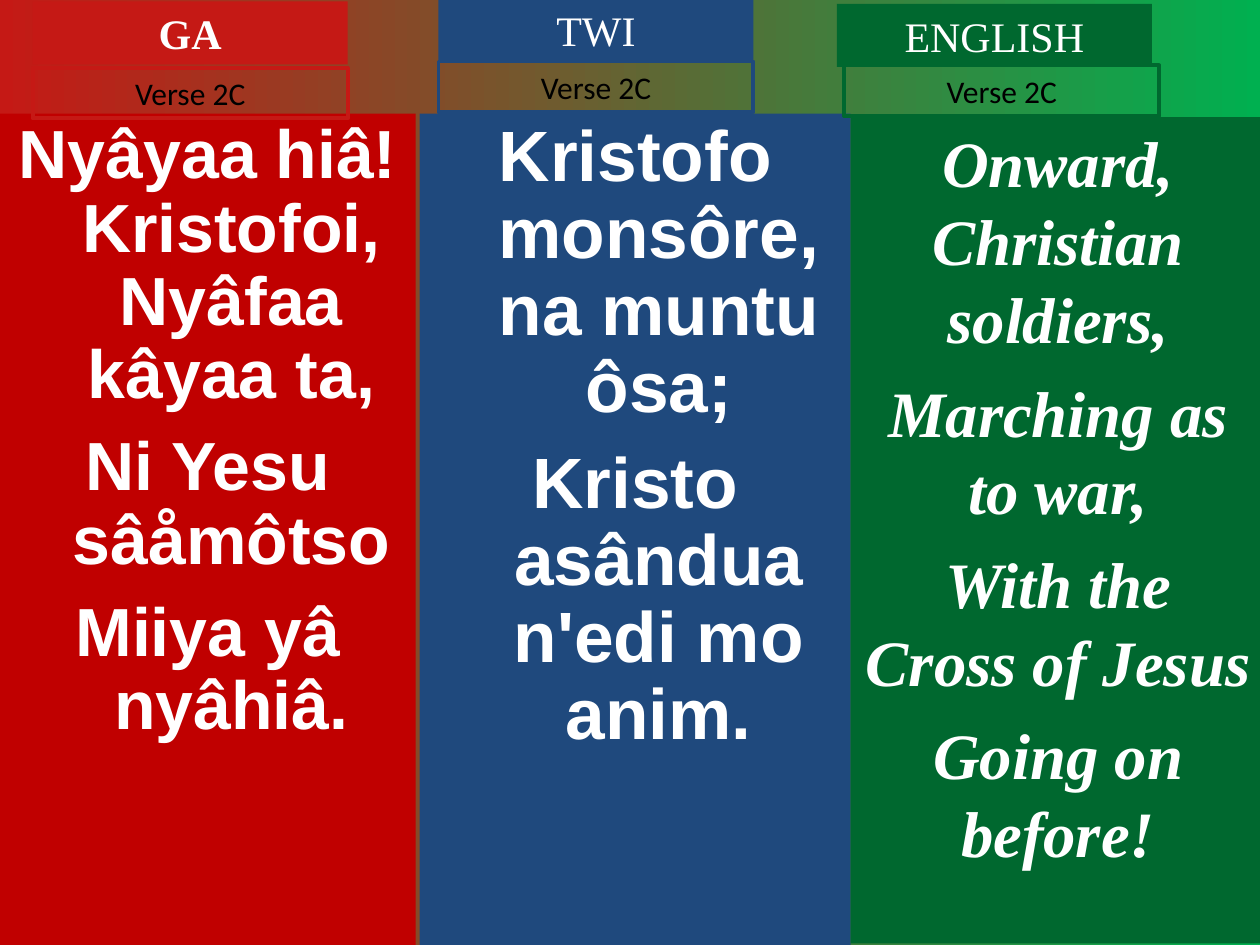
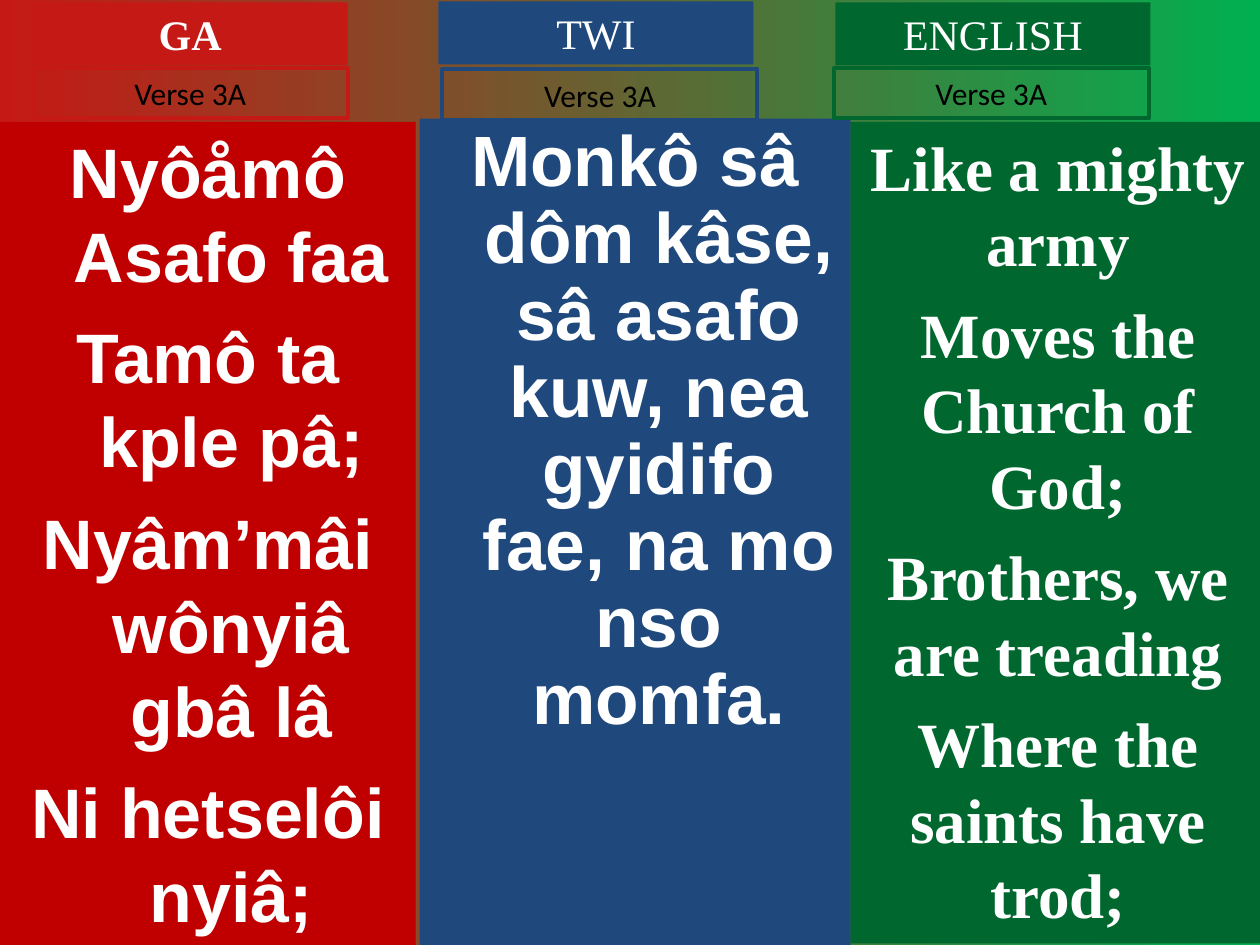
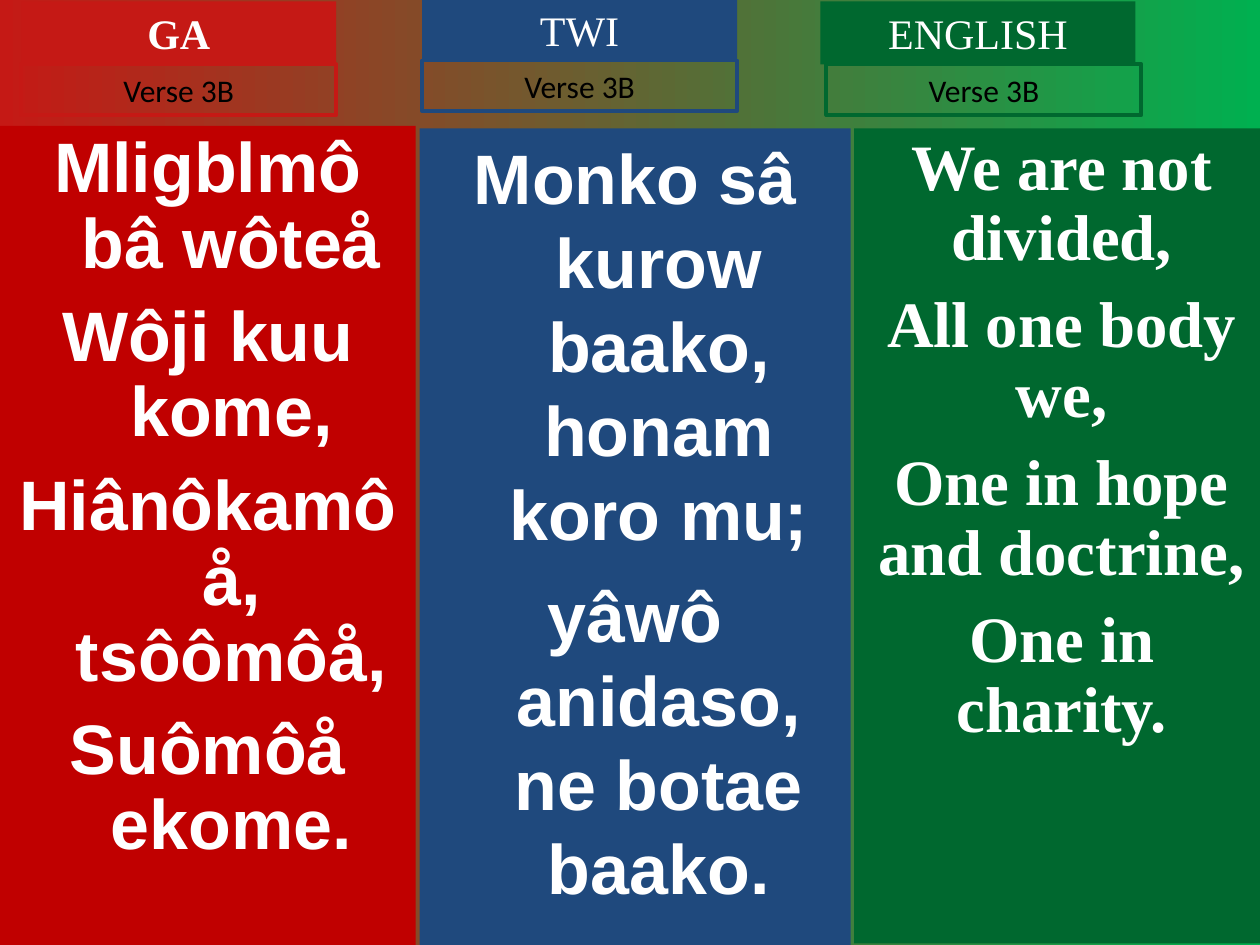
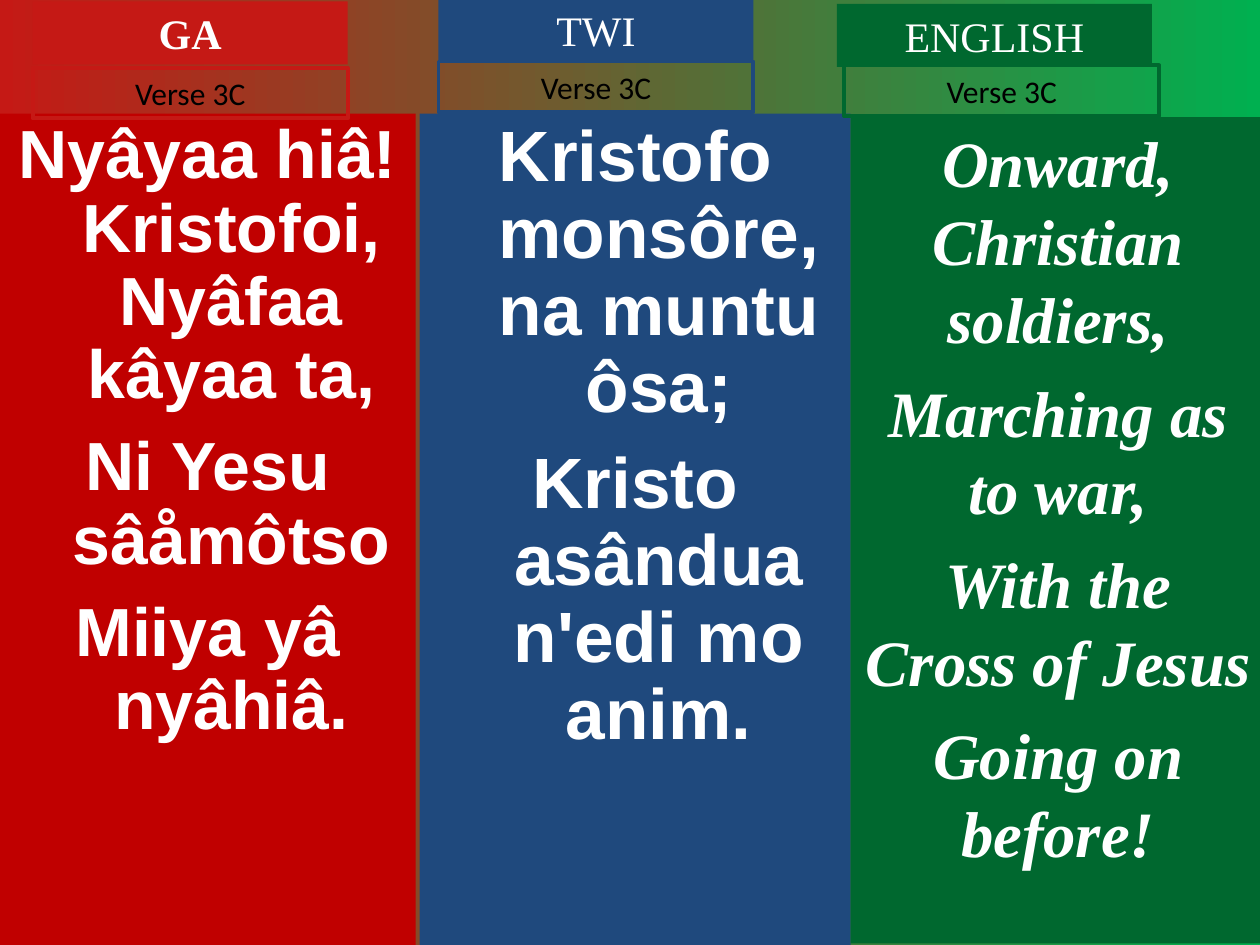
"""Builds four hymn slides that show each verse in Ga, Twi and English."""
from dataclasses import dataclass

import pptx
import pptx.dml.color
import pptx.enum.shapes
import pptx.enum.text
import pptx.util

WHITE, BLACK = "FFFFFF", "000000"
RED, GREEN = "C51915", "00B050"
SLIDE_WIDTH, SLIDE_HEIGHT = 25.4, 19.05
BOX_WIDTH, HEADING_HEIGHT, VERSE_HEIGHT = 6.35, 1.27, 1.02
HANGING = 0.95


@dataclass
class Language:
    """Holds the look of one language column."""
    name: str
    accent: str
    panel: str
    font: str
    hanging: float
    bold_heading: bool
    width: float
    bottom: float


@dataclass
class Lyrics:
    """Holds the lines of one column, their type and their places."""
    lines: list
    size: float
    line_spacing: float
    gap: float
    panel_at: tuple
    heading_at: tuple
    verse_at: tuple
    italic: bool = False


LANGUAGES = [
    Language("GA", RED, "C00000", "Arial", HANGING, True, 8.38, SLIDE_HEIGHT),
    Language("TWI", "1F497D", "1F497D", "Arial", HANGING, False, 8.69, SLIDE_HEIGHT),
    Language("ENGLISH", "00682F", "00682F", "Times New Roman", 0, False, 8.36, 19.02),
]

CHORUS = [
    Lyrics(["Nyâyaa hiâ! Kristofoi, Nyâfaa kâyaa ta,", "Ni Yesu sâåmôtso",
            "Miiya yâ nyâhiâ."],
           38.9, 0.9, 10.5, (0, 2.29), (0.66, 0.03), (0.66, 1.37)),
    Lyrics(["Kristofo monsôre, na muntu ôsa;", "Kristo asândua n'edi mo anim."],
           40.7, 0.9, 11, (8.46, 2.29), (8.84, -0.03), (8.84, 1.24)),
    Lyrics(["Onward, Christian soldiers,", "Marching as to war,",
            "With the Cross of Jesus", "Going on before!"],
           37, 1.0, 9.2, (17.15, 2.36), (16.87, 0.08), (17.02, 1.32), italic=True),
]

VERSE_3A = [
    Lyrics(["Nyôåmô Asafo faa", "Tamô ta kple pâ;", "Nyâm’mâi wônyiâ gbâ lâ",
            "Ni hetselôi nyiâ;"],
           40, 1.0, 10, (0, 2.46), (0.66, 0.05), (0.66, 1.37)),
    Lyrics(["Monkô sâ dôm kâse, sâ asafo kuw, nea gyidifo fae, na mo nso momfa."],
           40.7, 0.9, 11, (8.46, 2.39), (8.84, 0.03), (8.92, 1.4)),
    Lyrics(["Like a mighty army", "Moves the Church of God;",
            "Brothers, we are treading", "Where the saints have trod;"],
           36, 1.0, 9, (17.15, 2.46), (16.84, 0.05), (16.81, 1.37)),
]

VERSE_3B = [
    Lyrics(["Mligblmô bâ wôteå", "Wôji kuu kome,", "Hiânôkamôå, tsôômôå,",
            "Suômôå ekome."],
           40, 0.9, 10, (0, 2.54), (0.43, 0.03), (0.43, 1.3)),
    Lyrics(["Monko sâ kurow baako, honam koro mu;", "yâwô anidaso, ne botae baako."],
           40, 1.0, 10, (8.46, 2.59), (8.51, -0.03), (8.51, 1.22)),
    Lyrics(["We are not divided,", "All one body we,", "One in hope and doctrine,",
            "One in charity."],
           37, 0.9, 10, (17.22, 2.59), (16.54, 0.03), (16.66, 1.3)),
]

SLIDES = [("Verse 2C", CHORUS), ("Verse 3A", VERSE_3A),
          ("Verse 3B", VERSE_3B), ("Verse 3C", CHORUS)]


def colour(value):
    """Turns a hex string into a colour."""
    return pptx.dml.color.RGBColor.from_string(value)


class HymnDeck:
    """Holds the deck's style and its current slide."""

    def __init__(self):
        """Opens an empty deck of the right size."""
        self.deck = pptx.Presentation()
        self.deck.slide_width = pptx.util.Cm(SLIDE_WIDTH)
        self.deck.slide_height = pptx.util.Cm(SLIDE_HEIGHT)
        self.slide = None

    def new_slide(self):
        """Starts a slide on the red to green background."""
        self.slide = self.deck.slides.add_slide(self.deck.slide_layouts[6])
        fill = self.slide.background.fill
        fill.gradient()
        fill.gradient_angle = 0
        for stop, shade in zip(fill.gradient_stops, (RED, GREEN)):
            stop.color.rgb = colour(shade)

    def box(self, place, width, height, fill=None, line=None):
        """Adds a rectangle and returns its text frame."""
        bounds = [pptx.util.Cm(length) for length in (*place, width, height)]
        shape = self.slide.shapes.add_shape(
            pptx.enum.shapes.MSO_SHAPE.RECTANGLE, *bounds)
        shape.shadow.inherit = False
        if fill:
            shape.fill.solid()
            shape.fill.fore_color.rgb = colour(fill)
        else:
            shape.fill.background()
        if line:
            shape.line.color.rgb = colour(line)
            shape.line.width = pptx.util.Pt(2.25)
        else:
            shape.line.fill.background()
        frame = shape.text_frame
        frame.word_wrap = True
        frame.vertical_anchor = pptx.enum.text.MSO_ANCHOR.TOP
        return frame

    def add_text(self, paragraph, text, font, size, shade, bold=False, italic=False):
        """Puts one centred run of text in a paragraph."""
        paragraph.alignment = pptx.enum.text.PP_ALIGN.CENTER
        run = paragraph.add_run()
        run.text = text
        run.font.name = font
        run.font.size = pptx.util.Pt(size)
        run.font.color.rgb = colour(shade)
        run.font.bold = bold
        run.font.italic = italic

    def panel(self, language, lyrics):
        """Adds the coloured column with its lines of the hymn."""
        frame = self.box(lyrics.panel_at, language.width,
                         language.bottom - lyrics.panel_at[1], fill=language.panel)
        for number, line in enumerate(lyrics.lines):
            paragraph = frame.add_paragraph() if number else frame.paragraphs[0]
            if number:
                paragraph.space_before = pptx.util.Pt(lyrics.gap)
            paragraph.line_spacing = lyrics.line_spacing
            if language.hanging:
                indent = pptx.util.Cm(language.hanging)
                properties = paragraph._p.get_or_add_pPr()
                properties.set("marL", str(int(indent)))
                properties.set("indent", str(-int(indent)))
            self.add_text(paragraph, line, language.font, lyrics.size, WHITE,
                          bold=True, italic=lyrics.italic)

    def heading(self, language, place):
        """Adds the name of the language on its colour."""
        frame = self.box(place, BOX_WIDTH, HEADING_HEIGHT, fill=language.accent)
        self.add_text(frame.paragraphs[0], language.name, "Times New Roman", 24, WHITE,
                      bold=language.bold_heading)

    def verse(self, language, place, label):
        """Adds the outlined verse label."""
        frame = self.box(place, BOX_WIDTH, VERSE_HEIGHT, line=language.accent)
        self.add_text(frame.paragraphs[0], label, "Calibri", 18, BLACK)


def main():
    """Builds every slide and saves the deck."""
    hymn = HymnDeck()
    for label, columns in SLIDES:
        hymn.new_slide()
        for language, lyrics in zip(LANGUAGES, columns):
            hymn.panel(language, lyrics)
            hymn.heading(language, lyrics.heading_at)
            hymn.verse(language, lyrics.verse_at, label)
    hymn.deck.save("out.pptx")


if __name__ == "__main__":
    main()
